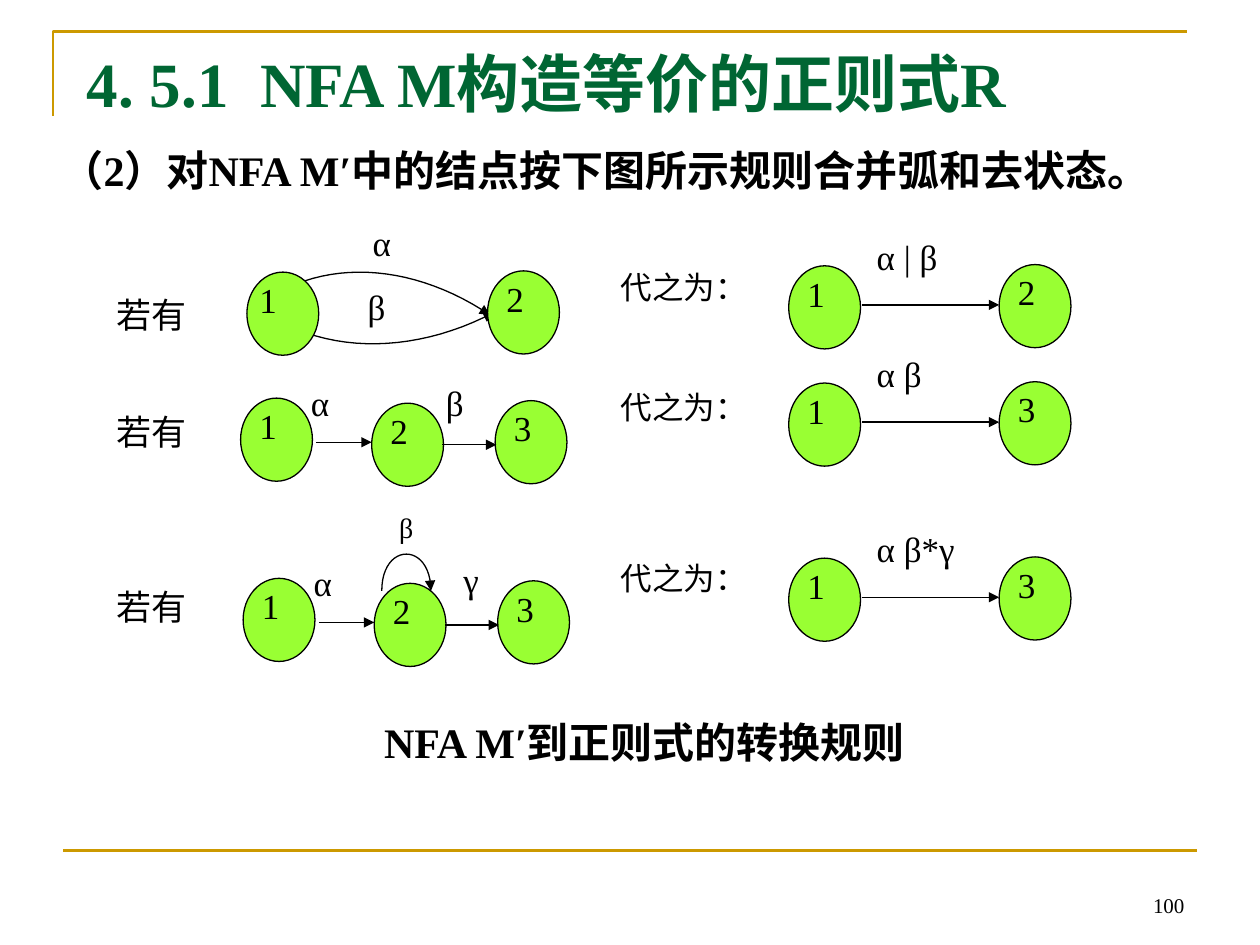
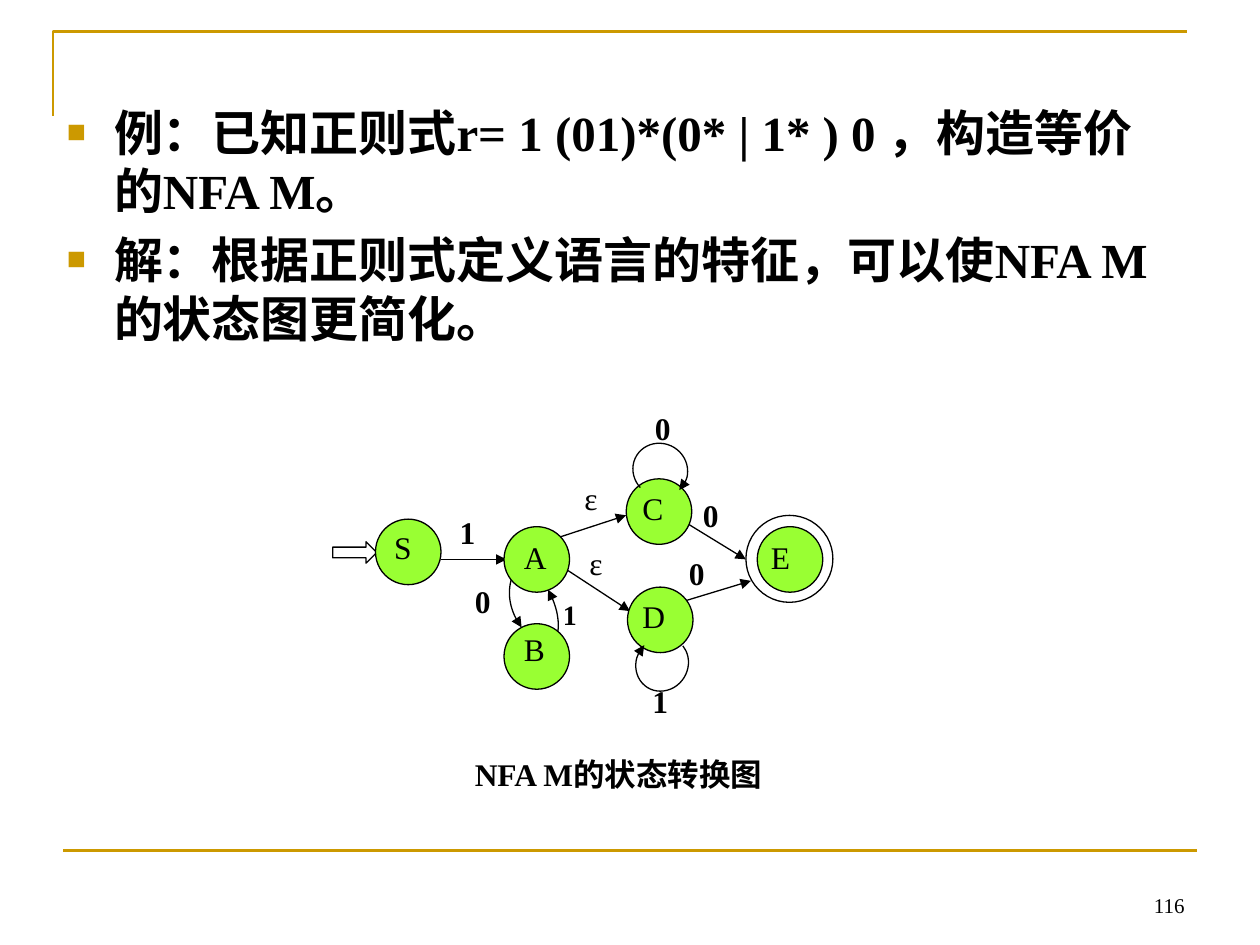
from dataclasses import dataclass

from lxml import etree
from pptx import Presentation
from pptx import util as u
from pptx.dml.color import RGBColor
from pptx.enum import shapes, text
from pptx.oxml import ns

PX = 9144  # EMU in one px: 100 px to the inch
FONT = "Times New Roman"
BLACK, WHITE, GREEN, GOLD, LIME = "000000", "FFFFFF", "006633", "CC9900", "99FF33"
OVAL = shapes.MSO_SHAPE.OVAL
TITLE_ONLY, TITLE_AND_BODY = 5, 1


@dataclass
class State:
    name: str
    x: int
    y: int
    dx: int = 5
    dy: int = 0


@dataclass
class Label:
    text: str
    x: int
    y: int
    size: int = 20
    bold: bool = False
    w: int = 70
    h: int = 52


@dataclass
class Arrow:
    x1: int
    y1: int
    x2: int
    y2: int


@dataclass
class Curve:
    """Cubic curve: start, two control points, end."""
    points: list[tuple[int, int]]


@dataclass
class Loop:
    x: int
    y: int
    w: int
    h: int
    rotation: int


def px(n: float) -> u.Emu:
    return u.Emu(round(n * PX))


def rgb(code: str) -> RGBColor:
    return RGBColor.from_string(code)


def add_xml(parent, tag: str, **attrs: str):
    return etree.SubElement(parent, ns.qn(tag), attrs)


def write(tf, content: str, *, size: int, bold: bool = False, color: str = BLACK,
          align=text.PP_ALIGN.LEFT, anchor=text.MSO_ANCHOR.TOP,
          spacing: float | None = None) -> None:
    """Fill a text frame, one paragraph for each line of content."""
    tf.word_wrap = True
    tf.auto_size = text.MSO_AUTO_SIZE.NONE
    tf.vertical_anchor = anchor
    for i, line in enumerate(content.split("\n")):
        p = tf.add_paragraph() if i else tf.paragraphs[0]
        p.alignment = align
        if spacing:
            p.line_spacing = spacing
        r = p.add_run()
        r.text = line
        r.font.name, r.font.size, r.font.bold = FONT, u.Pt(size), bold
        r.font.color.rgb = rgb(color)


def add_text(sps, content: str, x: int, y: int, w: int, h: int, **fmt) -> None:
    write(sps.add_textbox(px(x), px(y), px(w), px(h)).text_frame, content, **fmt)


def place(sp, x: int, y: int, w: int, h: int) -> None:
    sp.left, sp.top, sp.width, sp.height = px(x), px(y), px(w), px(h)


def stroke(sp, color: str = BLACK, width: float = 0.75, arrow: bool = False) -> None:
    sp.line.color.rgb = rgb(color)
    sp.line.width = u.Pt(width)
    if arrow:
        add_xml(sp.get_or_add_ln(), "a:tailEnd", type="triangle")


def add_line(sps, x1: int, y1: int, x2: int, y2: int, **style) -> None:
    sp = sps.add_connector(shapes.MSO_CONNECTOR.STRAIGHT, px(x1), px(y1), px(x2), px(y2))
    stroke(sp, **style)
    add_xml(sp.element.spPr, "a:effectLst")


def add_path(sps, points: list[tuple[float, float]], **style) -> None:
    """Draw an open, unfilled outline through the points."""
    start, *rest = [(px(x), px(y)) for x, y in points]
    fb = sps.build_freeform(*start, scale=1.0)
    fb.add_line_segments(rest, close=False)
    sp = fb.convert_to_shape()
    sp.fill.background()
    sp.shadow.inherit = False
    stroke(sp, **style)


def add_curve(sps, curve: Curve, steps: int = 24) -> None:
    def at(t: float) -> tuple[float, float]:
        weights = ((1 - t) ** 3, 3 * t * (1 - t) ** 2, 3 * t * t * (1 - t), t ** 3)
        x, y = (sum(k * c for k, c in zip(weights, axis)) for axis in zip(*curve.points))
        return x, y

    add_path(sps, [at(i / steps) for i in range(steps + 1)], arrow=True)


def add_preset(sps, preset, x: int, y: int, w: int, h: int, fill: str | None,
               arrow: bool = False):
    sp = sps.add_shape(preset, px(x), px(y), px(w), px(h))
    sp.shadow.inherit = False
    if fill:
        sp.fill.solid()
        sp.fill.fore_color.rgb = rgb(fill)
    else:
        sp.fill.background()
    stroke(sp, arrow=arrow)
    return sp


def add_state(sps, state: State, w: int, h: int, size: int) -> None:
    add_preset(sps, OVAL, state.x, state.y, w, h, LIME)
    add_text(sps, state.name, state.x + state.dx, state.y + state.dy, w, h, size=size)


def add_label(sps, label: Label) -> None:
    add_text(sps, label.text, label.x, label.y, label.w, label.h,
             size=label.size, bold=label.bold)


def add_arrow(sps, a: Arrow) -> None:
    add_line(sps, a.x1, a.y1, a.x2, a.y2, arrow=True)


def add_loop(sps, loop: Loop) -> None:
    sp = add_preset(sps, shapes.MSO_SHAPE.ARC, loop.x, loop.y, loop.w, loop.h, None, arrow=True)
    sp.adjustments[0], sp.adjustments[1] = 172.11, 116.72
    sp.rotation = loop.rotation


def new_slide(prs, layout: int, number: int):
    """Add a slide with the gold frame and its page number."""
    s = prs.slides.add_slide(prs.slide_layouts[layout])
    add_path(s.shapes, [(42, 92), (42, 25), (942, 25)], color=GOLD, width=1.5)
    add_line(s.shapes, 50, 675, 950, 675, color=GOLD, width=1.5)
    add_text(s.shapes, str(number), 717, 683, 233, 50, size=12,
             align=text.PP_ALIGN.RIGHT, anchor=text.MSO_ANCHOR.BOTTOM)
    return s


def add_rule_state(sps, name: str, x: int, y: int, dx: int = 5) -> None:
    add_state(sps, State(name, x, y, dx), 57, 66, 20)


def add_replacement(sps, top: int, expression: str, target: str) -> None:
    """Right half of a rule: one arc that carries the expression."""
    add_label(sps, Label(expression, 686, top - 29, w=136))
    add_rule_state(sps, "1", 626, top)
    add_rule_state(sps, target, 793, top - 1)
    add_arrow(sps, Arrow(684, top + 31, 793, top + 31))


def add_chain(sps, x: int, y: int, second: Label) -> None:
    """Left half of a rule: states 1, 2 and 3 in a row."""
    add_label(sps, Label("α", x + 46, y - 18))
    add_label(sps, second)
    for name, right, down in (("1", 0, 0), ("2", 104, 4), ("3", 202, 2)):
        add_rule_state(sps, name, x + right, y + down)
    add_arrow(sps, Arrow(x + 60, y + 35, x + 104, y + 35))
    add_arrow(sps, Arrow(x + 160, y + 37, x + 203, y + 37))


def build_rules(prs) -> None:
    s = new_slide(prs, TITLE_ONLY, 100)
    place(s.shapes.title, 59, 30, 874, 61)
    write(s.shapes.title.text_frame, "4. 5.1  NFA M构造等价的正则式R",
          size=36, bold=True, color=GREEN)
    add_text(s.shapes, "（2）对NFA M′中的结点按下图所示规则合并弧和去状态。",
             39, 102, 922, 54, size=24, bold=True, spacing=1.2)
    add_text(s.shapes, "NFA M′到正则式的转换规则", 295, 564, 500, 54, size=24, bold=True)

    union, concat, closure = (s.shapes.add_group_shape().shapes for _ in range(3))
    for sps, if_y, then_y, top, expression, target in (
            (union, 228, 208, 211, "α | β", "2"),
            (concat, 321, 303, 304, "α β", "3"),
            (closure, 460, 439, 443, "α β*γ", "3")):
        add_label(sps, Label("若有", 83, if_y, w=109))
        add_label(sps, Label("代之为：", 483, then_y, 18, w=131))
        add_replacement(sps, top, expression, target)

    add_curve(union, Curve([(202, 242), (252, 281), (325, 283), (392, 248)]))
    add_curve(union, Curve([(216, 235), (265, 205), (331, 211), (389, 250)]))
    add_rule_state(union, "1", 196, 216, dx=0)
    add_rule_state(union, "2", 387, 215)
    add_label(union, Label("α", 286, 171))
    add_label(union, Label("β", 282, 222))

    add_chain(concat, 191, 316, Label("β", 344, 298))

    add_chain(closure, 193, 459, Label("γ", 358, 438))
    add_label(closure, Label("β", 307, 400, 16))
    add_curve(closure, Curve([(303, 469), (303, 430), (342, 430), (342, 469)]))


def add_square_bullet(p) -> None:
    pPr = p._p.get_or_add_pPr()
    add_xml(add_xml(pPr, "a:buClr"), "a:srgbClr", val=GOLD)
    add_xml(pPr, "a:buSzPct", val="65000")
    add_xml(pPr, "a:buFont", typeface=FONT)
    add_xml(pPr, "a:buChar", char="■")


def build_example(prs) -> None:
    s = new_slide(prs, TITLE_AND_BODY, 116)
    title = s.shapes.title.element
    title.getparent().remove(title)
    body = s.placeholders[1]
    place(body, 43, 76, 900, 236)
    write(body.text_frame,
          "例：已知正则式r= 1 (01)*(0* | 1* ) 0 ，构造等价的NFA M。\n"
          "解：根据正则式定义语言的特征，可以使NFA M的状态图更简化。", size=28, bold=True)
    for p in body.text_frame.paragraphs:
        add_square_bullet(p)

    sps = s.shapes.add_group_shape().shapes
    for arrow in (Arrow(350, 444, 402, 444), Arrow(445, 426, 497, 409),
                  Arrow(448, 451, 500, 485), Arrow(543, 414, 592, 444),
                  Arrow(540, 478, 596, 461)):
        add_arrow(sps, arrow)
    for curve in (Curve([(412, 448), (401, 462), (402, 482), (414, 498)]),
                  Curve([(434, 518), (446, 508), (446, 488), (435, 468)])):
        add_curve(sps, curve)
    add_preset(sps, shapes.MSO_SHAPE.RIGHT_ARROW, 264, 430, 35, 17, WHITE)
    add_preset(sps, OVAL, 592, 409, 69, 69, WHITE)
    for state in (State("S", 298, 412, 5, 2), State("A", 400, 418, 6, 4),
                  State("B", 400, 495, 6, 0), State("C", 497, 380, 3, 3),
                  State("D", 498, 466, 2, 3), State("E", 601, 418, 1, 4)):
        add_state(sps, state, 52, 52, 18)
    for loop in (Loop(502, 352, 44, 42, 212), Loop(505, 505, 41, 44, 32)):
        add_loop(sps, loop)
    for name, x, y in (("1", 355, 402), ("0", 367, 457), ("0", 510, 320),
                       ("0", 548, 389), ("0", 537, 435), ("1", 508, 536)):
        add_label(sps, Label(name, x, y, 18, True, w=53))
    add_label(sps, Label("1", 437, 469, 16, True, w=53))
    for x, y in ((454, 375), (458, 427)):
        add_label(sps, Label("ε", x, y, 18, w=35))
    add_label(sps, Label("NFA M的状态转换图", 367, 594, 18, True, w=297, h=55))


def main() -> None:
    prs = Presentation()
    prs.slide_width, prs.slide_height = px(1000), px(750)
    build_rules(prs)
    build_example(prs)
    prs.save("out.pptx")


if __name__ == "__main__":
    main()
